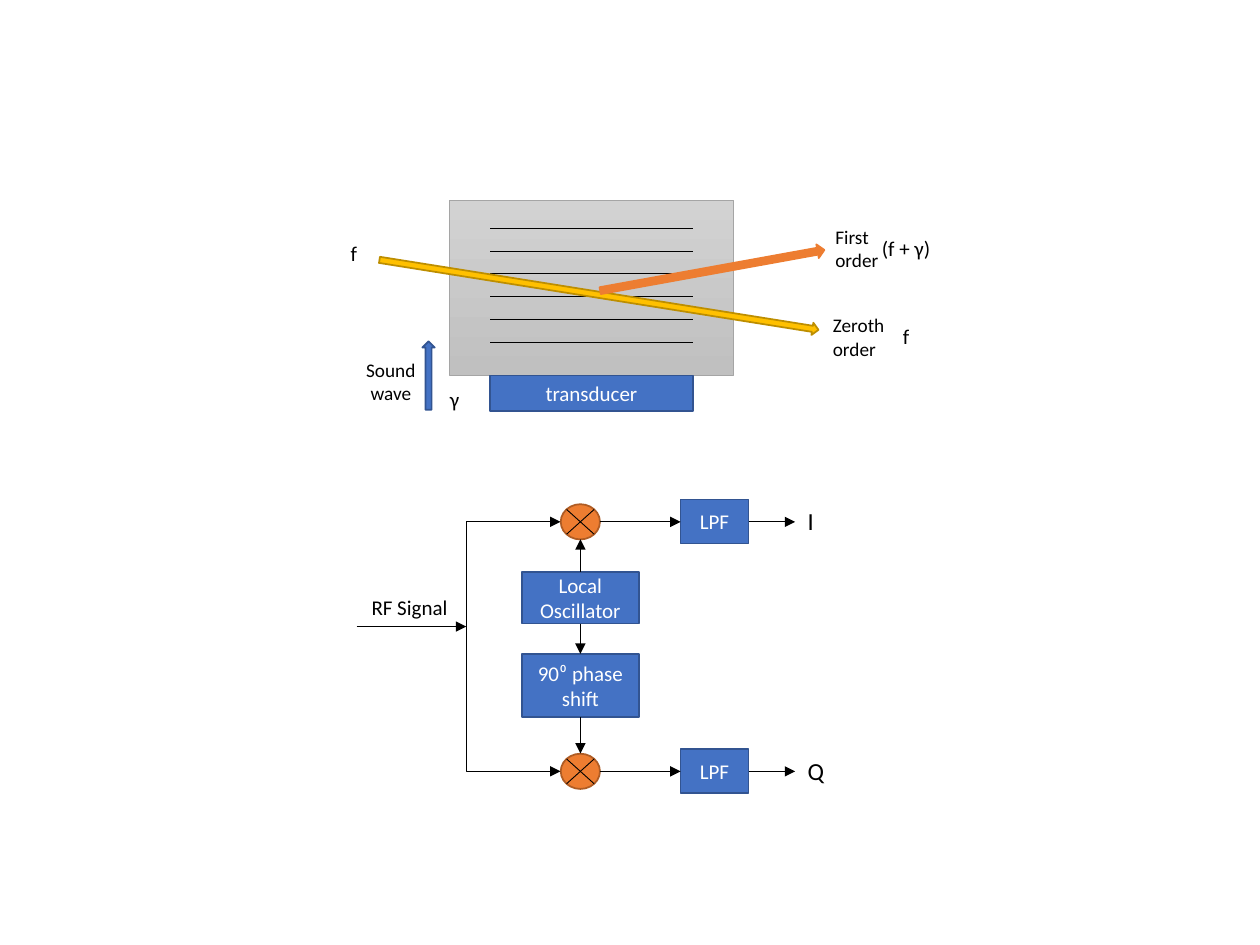
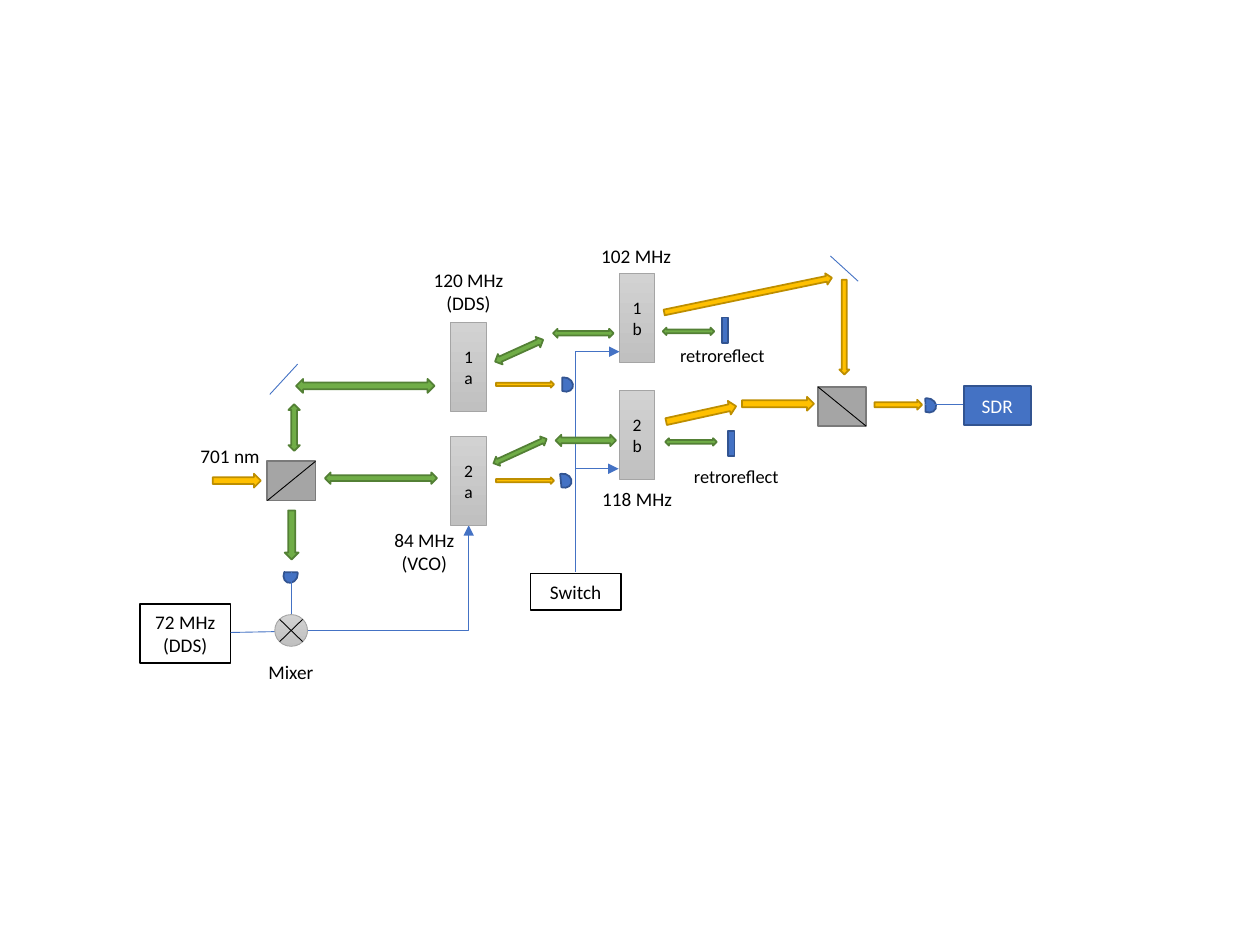
import math
from dataclasses import dataclass

import pptx
import pptx.dml.color
import pptx.enum.shapes
import pptx.enum.text
import pptx.oxml
import pptx.oxml.ns
import pptx.slide
import pptx.util

Cm = pptx.util.Cm
Pt = pptx.util.Pt
Kind = pptx.enum.shapes.MSO_SHAPE
Align = pptx.enum.text.PP_ALIGN
Anchor = pptx.enum.text.MSO_ANCHOR

FONT = "Calibri"
HUES = {
    "black": "000000", "white": "FFFFFF",
    "blue": "4472C4", "navy": "325491",
    "gold": "FFC000", "ochre": "BD8E00",
    "orange": "ED7D31", "rust": "AF5C24",
    "green": "70AD47", "moss": "538035",
    "grey": "A5A5A5", "slate": "7A7A7A",
    "pale": "D2D2D2", "silver": "C0C0C0",
}
EDGES = {"blue": "navy", "gold": "ochre", "orange": "rust",
         "green": "moss", "grey": "slate", "white": "black"}
THIN = 0.5


@dataclass
class Box:
    """The corner of a region on a slide; parts are placed from it in cm."""
    slide: pptx.slide.Slide
    left: float
    top: float

    def spot(self, x, y):
        return Cm(self.left + x), Cm(self.top + y)


def hue(name):
    return pptx.dml.color.RGBColor.from_string(HUES[name])


def write(shape, text, size=11, color="black", align=Align.CENTER,
          anchor=Anchor.MIDDLE, pad=0.25):
    frame = shape.text_frame
    frame.word_wrap = True
    frame.vertical_anchor = anchor
    frame.margin_left = frame.margin_right = Cm(pad)
    para = frame.paragraphs[0]
    para.alignment = align
    run = para.add_run()
    run.text = text
    run.font.name = FONT
    run.font.size = Pt(size)
    run.font.color.rgb = hue(color)


def label(box, text, x, y, w, h, **style):
    area = box.slide.shapes.add_textbox(*box.spot(x, y), Cm(w), Cm(h))
    write(area, text, anchor=Anchor.TOP, **style)


def draw(box, kind, x, y, w, h, fill="blue", edge=None, width=1, turn=0):
    shape = box.slide.shapes.add_shape(kind, *box.spot(x, y), Cm(w), Cm(h))
    shape.shadow.inherit = False
    shape.rotation = turn
    if fill == "metal":
        shape.fill.gradient()
        shape.fill.gradient_angle = 270
        for stop, tone in zip(shape.fill.gradient_stops, ("pale", "silver")):
            stop.color.rgb = hue(tone)
        edge, width = "grey", THIN
    else:
        shape.fill.solid()
        shape.fill.fore_color.rgb = hue(fill)
    shape.line.color.rgb = hue(edge or EDGES[fill])
    shape.line.width = Pt(width)
    return shape


def block(box, text, x, y, w, h, fill="blue", color="white", size=12,
          pad=0.25, width=1):
    shape = draw(box, Kind.RECTANGLE, x, y, w, h, fill, width=width)
    write(shape, text, size=size, color=color, pad=pad)


def wire(box, x1, y1, x2, y2, color="black", tip=None, bent=False):
    """Draw a line; a bent one runs level first. tip is headEnd or tailEnd."""
    line = box.slide.shapes.add_connector(
        pptx.enum.shapes.MSO_CONNECTOR.STRAIGHT,
        *box.spot(x1, y1), *box.spot(x2, y2))
    line.line.color.rgb = hue(color)
    line.line.width = Pt(THIN)
    props = line._element.spPr
    if bent:
        props.find(pptx.oxml.ns.qn("a:prstGeom")).set("prst", "bentConnector2")
    if tip:
        space = pptx.oxml.ns.nsdecls("a")
        props.find(pptx.oxml.ns.qn("a:ln")).append(
            pptx.oxml.parse_xml(f'<a:{tip} {space} type="triangle"/>'))
    props.append(pptx.oxml.parse_xml(
        f'<a:effectLst {pptx.oxml.ns.nsdecls("a")}/>'))


def beam(box, x1, y1, x2, y2, thick, fill="gold", edge=None, both=False):
    """Draw a block arrow from one point to another."""
    size = math.hypot(x2 - x1, y2 - y1)
    turn = math.degrees(math.atan2(y2 - y1, x2 - x1))
    kind = Kind.LEFT_RIGHT_ARROW if both else Kind.RIGHT_ARROW
    draw(box, kind, (x1 + x2 - size) / 2, (y1 + y2 - thick) / 2,
         size, thick, fill, edge, turn=turn)


def link(box, x1, y1, x2, y2, thick):
    beam(box, x1, y1, x2, y2, thick, "green", both=True)


def mixer(box, x, y, w, h, fill):
    """Draw a crossed circle about its centre."""
    draw(box, Kind.OVAL, x - w / 2, y - h / 2, w, h, fill)
    dx, dy = w * 0.35, h * 0.35
    for sign in (1, -1):
        wire(box, x - dx, y - sign * dy, x + dx, y + sign * dy)


def split(box, x, y, rise):
    """Draw a beam splitter with a rising or falling diagonal."""
    w, h = 0.97, 0.79
    draw(box, Kind.RECTANGLE, x, y, w, h, "grey")
    start, end = (y + h, y) if rise else (y, y + h)
    wire(box, x, start, x + w, end)


def diode(box, x, y, turn):
    """Draw a photodiode about its centre."""
    w, h = 0.33, 0.28
    draw(box, Kind.CHORD, x - w / 2, y - h / 2, w, h, turn=turn)


def crystal(box):
    draw(box, Kind.RECTANGLE, 2.72, 0, 5.72, 3.53, "metal")
    for row in range(6):
        y = 0.56 + 0.46 * row
        wire(box, 3.53, y, 7.62, y)
    block(box, "transducer", 3.53, 3.53, 4.09, 0.71)
    beam(box, 2.29, 4.22, 2.29, 2.84, 0.25, "blue")
    beam(box, 1.3, 1.2, 10.15, 2.61, 0.25)
    beam(box, 5.75, 1.82, 10.27, 1, 0.28, "orange", "orange")
    label(box, "Sound wave", 0.64, 3.05, 1.78, 1.19)
    label(box, "Zeroth order", 10.19, 2.16, 2.06, 1.19, align=Align.LEFT)
    label(box, "First order", 10.24, 0.38, 2.06, 1.19, align=Align.LEFT)
    for text, x, y in (("f", 0, 0.69), ("γ", 2.03, 3.63),
                       ("(f + γ)", 11.13, 0.58), ("f", 11.13, 2.36)):
        label(box, text, x, y, 1.57, 0.76, size=12, pad=0.2)


def demod(box):
    mid, fork, feed = 4.51, 2.21, 2.57
    for text, y in (("I", 0.46), ("Q", 5.49)):
        mixer(box, mid, y, 0.79, 0.71, "orange")
        wire(box, 4.11, y, fork, feed, tip="headEnd", bent=True)
        block(box, "LPF", 6.53, y - 0.45, 1.37, 0.89)
        wire(box, 4.9, y, 6.53, y, tip="tailEnd")
        wire(box, 7.9, y, 8.84, y, tip="tailEnd")
        label(box, text, 8.84, y - 0.44, 0.9, 0.86, size=14,
              align=Align.LEFT)
    block(box, "Local Oscillator", 3.33, 1.47, 2.36, 1.04)
    block(box, "90⁰ phase shift", 3.33, 3.12, 2.36, 1.27)
    for start, end in ((1.47, 0.81), (2.51, 3.12), (4.39, 5.13)):
        wire(box, mid, start, mid, end, tip="tailEnd")
    wire(box, 0, feed, fork, feed, tip="tailEnd")
    label(box, "RF Signal", 0.05, 1.8, 2.36, 0.76, size=12, align=Align.LEFT)


def source(box):
    label(box, "701 nm", 0.97, 1.5, 1.85, 0.74, align=Align.LEFT)
    beam(box, 1.47, 2.35, 2.44, 2.35, 0.28)
    split(box, 2.57, 1.96, rise=True)
    wire(box, 3.18, 0, 2.62, 0.61, "blue")
    link(box, 3.15, 0.44, 5.94, 0.44, 0.28)
    link(box, 3.73, 2.3, 5.99, 2.3, 0.23)
    link(box, 3.11, 0.81, 3.11, 1.75, 0.23)
    beam(box, 3.06, 2.95, 3.06, 3.94, 0.28, "green")
    diode(box, 3.04, 4.25, 294.2)
    wire(box, 3.05, 4.19, 3.05, 5.05, "blue")
    block(box, "72 MHz (DDS)", 0, 4.83, 1.83, 1.19, "white", "black", 11)
    wire(box, 3.38, 5.38, 1.83, 5.41, "blue")
    wire(box, 3.38, 5.38, 6.63, 3.25, "blue", "tailEnd", bent=True)
    mixer(box, 3.05, 5.37, 0.66, 0.64, "metal")
    label(box, "Mixer", 2.08, 5.84, 1.93, 0.74)


def cells(box):
    for text, x, y in (("1a", 1.5, 1.7), ("2a", 1.5, 3.99),
                       ("1b", 4.9, 0.71), ("2b", 4.9, 3.07)):
        cell = draw(box, Kind.RECTANGLE, x, y, 0.71, 1.8, "metal")
        write(cell, text, size=10)
    for text, x, y, h in (("120 MHz (DDS)", 0.89, 0.48, 1.19),
                          ("84 MHz (VCO)", 0, 5.72, 1.19),
                          ("102 MHz", 4.27, 0, 0.74),
                          ("118 MHz", 4.29, 4.9, 0.74)):
        label(box, text, x, y, 1.93, h, pad=0.2)
    for x, y in ((5.87, 2.01), (6.15, 4.45)):
        label(box, "retroreflect", x, y, 2.31, 0.74, size=10.5,
              align=Align.LEFT)
    for x, y in ((6.96, 1.6), (7.09, 3.89)):
        draw(box, Kind.RECTANGLE, x, y, 0.13, 0.51)
    for x, y, turn in ((3.8, 2.95, 203.1), (3.77, 4.89, 197.5)):
        beam(box, 2.41, y, 3.58, y, 0.13)
        diode(box, x, y, turn)

    bus = 4.01
    wire(box, 4.9, 2.29, bus, 6.73, "blue", "headEnd", bent=True)
    wire(box, bus, 4.65, 4.88, 4.65, "blue", "tailEnd")
    block(box, "Switch", 3.1, 6.76, 1.83, 0.74, "white", "black", 11,
          width=0.75)
    for path in ((2.39, 2.49, 3.36, 2.05, 0.23),
                 (2.36, 4.54, 3.43, 4.05, 0.2),
                 (3.56, 1.92, 4.78, 1.92, 0.18),
                 (3.61, 4.08, 4.83, 4.08, 0.23),
                 (5.77, 1.88, 6.81, 1.88, 0.15),
                 (5.82, 4.11, 6.86, 4.11, 0.15)):
        link(box, *path)


def merge(box):
    split(box, 3.28, 3.58, rise=False)
    for path in ((0.18, 2.08, 3.56, 1.38, 0.23),
                 (0.22, 4.28, 1.63, 3.97, 0.28),
                 (1.75, 3.92, 3.2, 3.92, 0.28),
                 (3.81, 1.42, 3.81, 3.33, 0.2),
                 (4.42, 3.94, 5.38, 3.94, 0.2)):
        beam(box, *path)
    wire(box, 3.53, 0.94, 4.09, 1.45, "blue")
    diode(box, 5.5, 3.95, 203.1)
    wire(box, 5.44, 3.94, 6.22, 3.94, "blue")
    block(box, "SDR", 6.22, 3.56, 1.35, 0.79, size=11, pad=0.1)


def main():
    deck = pptx.Presentation()
    deck.slide_width, deck.slide_height = Cm(25.4), Cm(19.05)
    blank = deck.slide_layouts[6]

    theory = deck.slides.add_slide(blank)
    crystal(Box(theory, 6.35, 4.04))
    demod(Box(theory, 7.19, 10.06))

    setup = deck.slides.add_slide(blank)
    source(Box(setup, 2.82, 7.34))
    cells(Box(setup, 7.59, 4.8))
    merge(Box(setup, 13.21, 4.22))

    deck.save("out.pptx")


if __name__ == "__main__":
    main()
